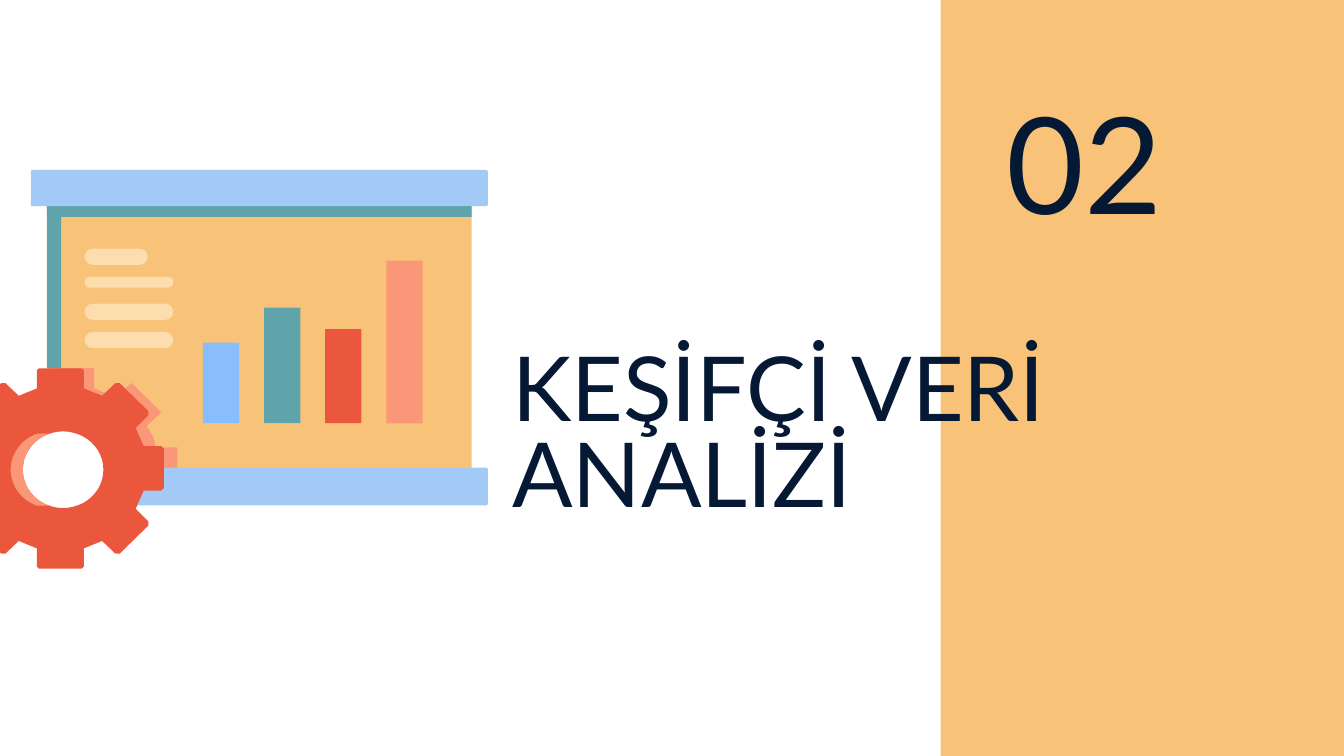
"""Build a section slide with a chart board and a gear on a grid of 1000 columns."""
import math
import pptx
import pptx.util
import pptx.dml.color
import pptx.enum.shapes
import pptx.enum.text

WIDE, HIGH = 1000, 562.5
CELL = pptx.util.Inches(0.01)
KIND = pptx.enum.shapes.MSO_SHAPE
ALIGN = pptx.enum.text.PP_ALIGN
ANCHOR = pptx.enum.text.MSO_ANCHOR

NAVY, SAND, CREAM = "051934", "F8C379", "FDDCAE"
TEAL, SKY, BLUE = "5FA4AB", "A3CAF7", "88BEFD"
RED, PINK = "EB573D", "FA9778"

TITLES = [
    ("KEŞİFÇİ VERİ ANALİZİ", (371, 281, 621, 91), 48, 0.8, ALIGN.LEFT, ANCHOR.MIDDLE),
    ("02", (600, 103.5, 275, 86), 72, 1.0, ALIGN.RIGHT, ANCHOR.BOTTOM),
]
BOARD = [(35, 152), (35, 278), (57, 278), (57, 292), (73, 298), (78, 301), (89, 291),
         (105, 307), (95, 317), (102, 332), (103, 338), (118, 338), (118, 350),
         (351, 350), (351, 152)]
SHADES = [
    [(98, 285), (90, 292), (105, 307), (95, 317), (102, 332), (104, 337), (118, 337),
     (118, 349), (132, 349), (132, 333), (116, 333), (114, 325), (109, 317), (120, 307)],
    [(39, 274), (39, 278), (57, 278), (57, 292), (73, 298), (78, 301), (85, 295),
     (70, 289), (70, 274)],
]
FRAME = [(35, 152, 10.5, 122), (35, 152, 316, 9.5)]
RAIL = [(109, 348), (107, 349), (81, 349), (79, 351), (79, 354), (75, 367), (68, 373),
        (69, 376), (362, 376), (363, 375), (363, 349), (362, 348)]
BARS = [(60, BLUE), (86, TEAL), (70, RED), (121, PINK)]
BASE, FIRST, STEP, THICK = 315, 151, 45.5, 27
LINES = [(185, 47, 12), (206, 66, 8), (226, 66, 12), (247, 66, 12)]
HUB = (45, 348.5)
TOOTH = [(16, 74.5), (17.5, 73), (17.5, 59.5), (31, 54), (41, 63.5), (44, 63.5),
         (65.5, 42.5), (65.5, 39.5), (56, 30), (62, 16.5), (75, 16.5), (77, 14.5)]
HOLE = (47, 349.5, 30, 28.5)

deck = pptx.Presentation()
deck.slide_width, deck.slide_height = WIDE * CELL, round(HIGH * CELL)
slide = deck.slides.add_slide(deck.slide_layouts[0])
shapes = slide.shapes


def tint(hue):
    return pptx.dml.color.RGBColor.from_string(hue)


def cells(box):
    return [round(n * CELL) for n in box]


def paint(shape, hue):
    shape.shadow.inherit = False
    shape.fill.solid()
    shape.fill.fore_color.rgb = tint(hue)
    shape.line.fill.background()
    return shape


def block(box, hue, kind=KIND.RECTANGLE, curve=None):
    shape = shapes.add_shape(kind, *cells(box))
    if curve is not None:
        shape.adjustments[0] = curve
    return paint(shape, hue)


def outline(hue, *loops):
    fine = [[(x * 10, y * 10) for x, y in loop] for loop in loops]
    pen = shapes.build_freeform(*fine[0][0], scale=CELL / 10)
    pen.add_line_segments(fine[0][1:])
    for loop in fine[1:]:
        pen.move_to(*loop[0])
        pen.add_line_segments(loop[1:])
    return paint(pen.convert_to_shape(), hue)


def arc(x, y, wide, high, start, end, steps=48):
    turns = [math.radians(start + (end - start) * i / steps) for i in range(steps + 1)]
    return [(x + wide * math.cos(t), y + high * math.sin(t)) for t in turns]


def wheel():
    half = TOOTH + [(x, -y) for x, y in reversed(TOOTH)]
    ring = half + [(-x, y) for x, y in reversed(half)]
    return [(HUB[0] + x, HUB[1] + y) for x, y in ring]


panel = block((700, 0, 300, HIGH), SAND)
shapes.element.insert(2, panel.element)

for holder, (text, box, size, space, align, anchor) in zip(slide.placeholders, TITLES):
    holder.left, holder.top, holder.width, holder.height = cells(box)
    frame = holder.text_frame
    frame.text = text
    frame.word_wrap = True
    frame.auto_size = pptx.enum.text.MSO_AUTO_SIZE.NONE
    frame.vertical_anchor = anchor
    frame.margin_left = frame.margin_right = 10 * CELL
    frame.margin_top = frame.margin_bottom = 10 * CELL
    para = frame.paragraphs[0]
    para.alignment, para.line_spacing = align, space
    para.space_before = pptx.util.Pt(0)
    para.font.name, para.font.size = "Lato", pptx.util.Pt(size)
    para.font.color.rgb = tint(NAVY)

outline(SAND, BOARD)
for shade in SHADES:
    outline(PINK, shade)
for strip in FRAME:
    block(strip, TEAL)
outline(SKY, RAIL)
block((23, 126.5, 340, 27), SKY, KIND.ROUNDED_RECTANGLE, 0.05)
for i, (tall, hue) in enumerate(BARS):
    block((FIRST + i * STEP, BASE - tall, THICK, tall), hue)
for top, wide, tall in LINES:
    block((63, top, wide, tall), CREAM, KIND.ROUNDED_RECTANGLE, 0.5)

outline(RED, wheel(), arc(*HOLE, 0, 360))
outline(PINK, arc(38, *HOLE[1:], 110, 250) + arc(*HOLE, 250, 110))

deck.save("out.pptx")
